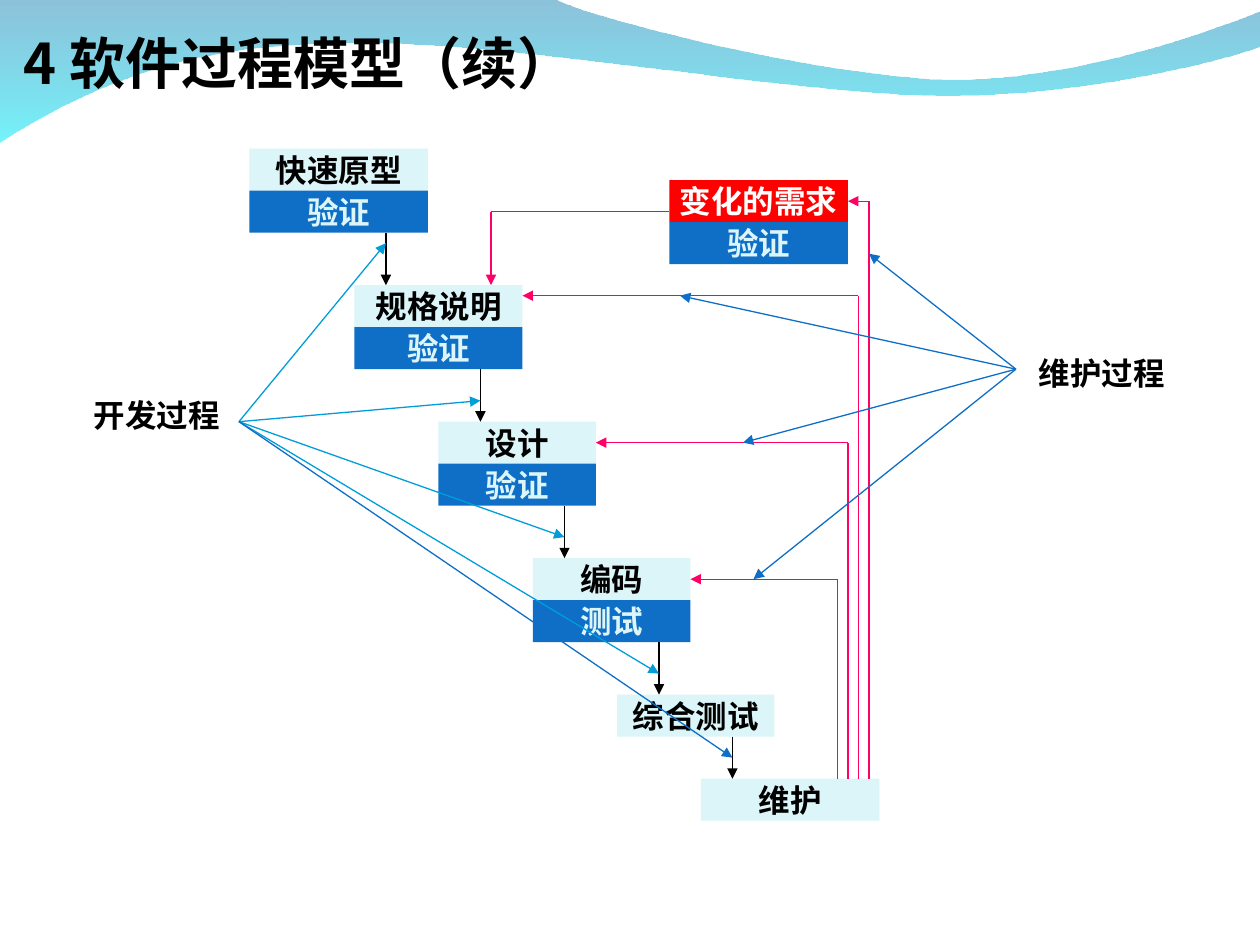
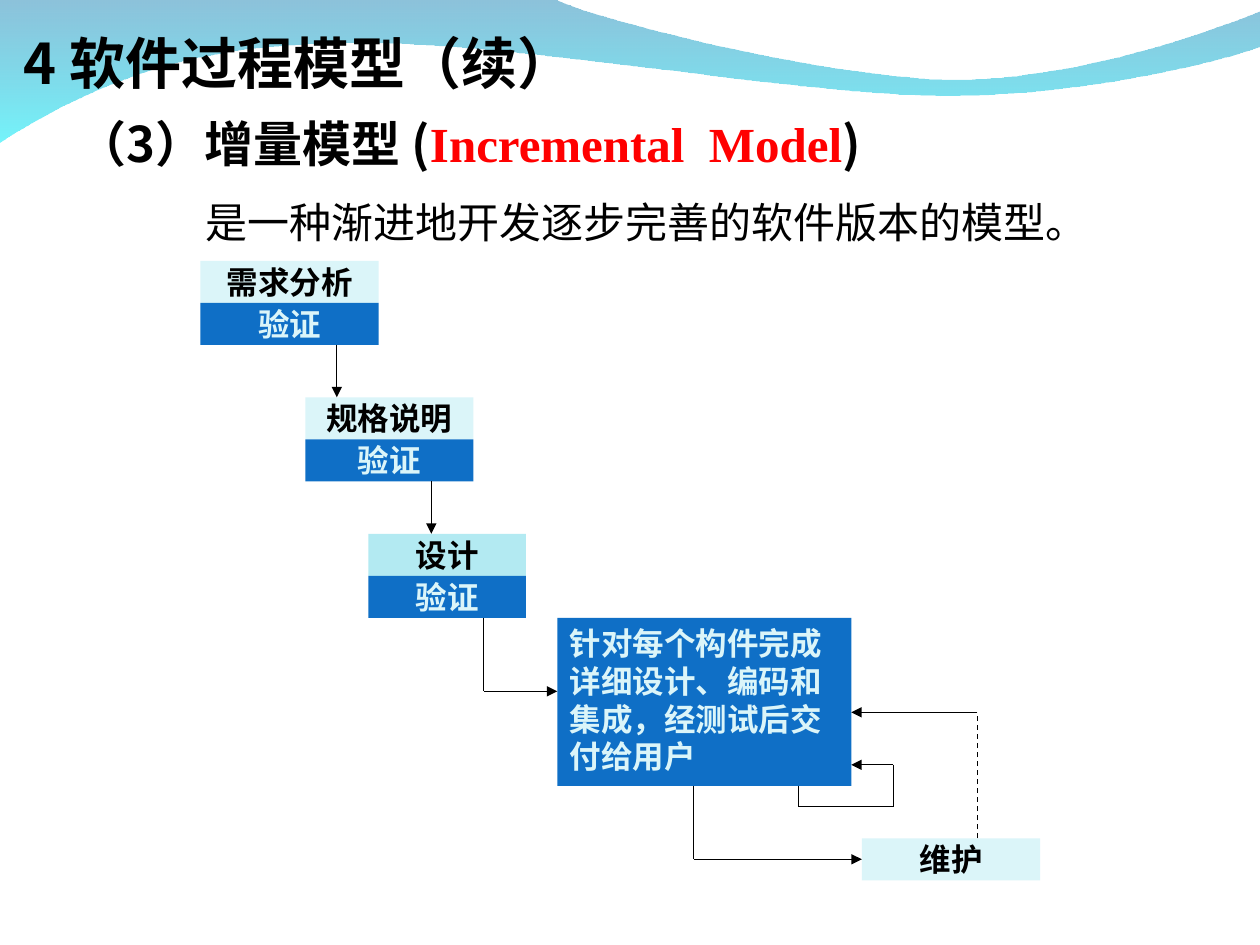
"""Build two slides on software process models."""
from dataclasses import dataclass, field

from lxml import etree
from pptx import Presentation
from pptx.dml.color import RGBColor
from pptx.enum.dml import MSO_LINE
from pptx.enum.shapes import MSO_CONNECTOR, MSO_SHAPE
from pptx.enum.text import MSO_ANCHOR, MSO_AUTO_SIZE, PP_ALIGN
from pptx.oxml.ns import qn
from pptx.util import Inches, Pt

DASH = MSO_LINE.DASH
STRAIGHT = MSO_CONNECTOR.STRAIGHT
RECT = MSO_SHAPE.RECTANGLE
TOP, MIDDLE, BOTTOM = MSO_ANCHOR.TOP, MSO_ANCHOR.MIDDLE, MSO_ANCHOR.BOTTOM
LEFT, CENTER = PP_ALIGN.LEFT, PP_ALIGN.CENTER
NO_FIT = MSO_AUTO_SIZE.NONE

COLORS = {
    "black": "000000", "white": "FFFFFF", "red": "FF0000", "pink": "FF0066",
    "pale": "DBF5F9", "aqua": "B3EAF2", "blue": "0F6FC6", "sky": "009DD9",
    "deep": "0079AF", "cyan": "00EBF8",
}
SANS, ARIAL, TIMES = "Noto Sans CJK SC", "Arial", "Times New Roman"
TITLE = "4 软件过程模型（续）"
UNIT = Inches(1 / 12)
TALL = 4
BAND_TOP = (
    ((4.41, 0), (4.76, 0.17), (6.64, 0.63), (7.59, 0.63)),
    ((7.59, 0.63), (8.53, 0.63), (9.58, 0.26), (10, 0.09)),
)
BAND_LOW = (
    ((10, 0.37), (9.83, 0.44), (8.7, 0.76), (7.46, 0.76)),
    ((7.46, 0.76), (6.22, 0.75), (3.82, 0.28), (2.58, 0.35)),
    ((2.58, 0.35), (1.3, 0.36), (0.47, 0.83), (0, 1.13)),
)


@dataclass
class Step:
    """A box on the grid, with an optional check box below it."""
    text: str
    col: float
    row: float
    wide: float
    check: str = ""
    fill: str = "pale"
    ink: str = "black"
    tall: float = TALL
    align: int = CENTER
    wrap: bool = False


@dataclass
class Route:
    """A chain of straight lines through grid points."""
    points: list
    color: str = "black"
    head: bool = True
    dash: bool = False


@dataclass
class Chart:
    """A slide with a grid that starts at a given place."""
    slide: object
    left: float
    top: float
    sites: dict = field(default_factory=dict)

    def spot(self, col: float, row: float) -> tuple:
        """Turn a grid point into a place on the slide."""
        return Inches(self.left) + round(col * UNIT), Inches(self.top) + round(row * UNIT)


def paint(name: str) -> RGBColor:
    """Look up a colour."""
    return RGBColor.from_string(COLORS[name])


def write(frame, text: str, *, font: str = ARIAL, size: float = 18, ink: str = "black",
          bold: bool = True, align: int = LEFT, anchor: int = TOP, wrap: bool = True) -> None:
    """Add a run of text to the first paragraph of a frame."""
    frame.word_wrap, frame.auto_size, frame.vertical_anchor = wrap, NO_FIT, anchor
    para = frame.paragraphs[0]
    para.alignment = align
    run = para.add_run()
    run.text = text
    run.font.name, run.font.size, run.font.bold = font, Pt(size), bold
    run.font.color.rgb = paint(ink)
    etree.SubElement(run.font._element, qn("a:ea"), typeface=SANS)


def label(chart: Chart, text: str, col: float, row: float, wide: float, tall: float, **form) -> object:
    """Add a text box at a grid point and return its frame."""
    frame = chart.slide.shapes.add_textbox(
        *chart.spot(col, row), round(wide * UNIT), round(tall * UNIT)).text_frame
    write(frame, text, **form)
    return frame


def draw_box(chart: Chart, step: Step) -> None:
    """Draw one box and note the middles of its sides."""
    box = chart.slide.shapes.add_shape(
        RECT, *chart.spot(step.col, step.row), round(step.wide * UNIT), round(step.tall * UNIT))
    box.shadow.inherit = False
    box.fill.solid()
    box.fill.fore_color.rgb = paint(step.fill)
    box.line.fill.background()
    write(box.text_frame, step.text, ink=step.ink, align=step.align, wrap=step.wrap,
          anchor=TOP if step.wrap else MIDDLE)
    mid, half = step.col + step.wide / 2, step.row + step.tall / 2
    sides = ((mid, step.row), (step.col, half),
             (mid, step.row + step.tall), (step.col + step.wide, half))
    for site, point in enumerate(sides):
        chart.sites[point] = (box, site)


def draw_step(chart: Chart, step: Step) -> None:
    """Draw a step and its check."""
    draw_box(chart, step)
    if step.check:
        draw_box(chart, Step(step.check, step.col, step.row + TALL, step.wide,
                             fill="blue", ink="pale"))


def draw_route(chart: Chart, route: Route) -> None:
    """Draw a route, joined to boxes where it meets them."""
    for start, end in zip(route.points, route.points[1:]):
        link = chart.slide.shapes.add_connector(STRAIGHT, *chart.spot(*start), *chart.spot(*end))
        link.line.color.rgb = paint(route.color)
        link.line.width = Pt(0.75)
        if route.dash:
            link.line.dash_style = DASH
        if start in chart.sites:
            link.begin_connect(*chart.sites[start])
        if end in chart.sites:
            link.end_connect(*chart.sites[end])
        props = link._element.spPr
        if route.head and end == route.points[-1]:
            etree.SubElement(props.find(qn("a:ln")), qn("a:tailEnd"), type="triangle")
        etree.SubElement(props, qn("a:effectLst"))


def curve(ends: tuple, count: int = 24) -> list:
    """Sample a cubic curve."""
    points = []
    for index in range(count + 1):
        t = index / count
        parts = ((1 - t) ** 3, 3 * t * (1 - t) ** 2, 3 * t * t * (1 - t), t ** 3)
        points.append(tuple(Inches(sum(p * e[axis] for p, e in zip(parts, ends)))
                            for axis in (0, 1)))
    return points


def draw_band(deck, slide) -> None:
    """Draw the wave and place it on the master."""
    build = slide.shapes.build_freeform(0, 0)
    build.add_line_segments([p for ends in BAND_TOP + BAND_LOW for p in curve(ends)])
    band = build.convert_to_shape()
    band.shadow.inherit = False
    band.line.fill.background()
    band.fill.gradient()
    band.fill.gradient_angle = 270
    tints = (("deep", 45000), ("cyan", 55000))
    for place, (stop, (name, _)) in enumerate(zip(band.fill.gradient_stops, tints)):
        stop.color.rgb, stop.position = paint(name), place
    for node, (_, alpha) in zip(band._element.spPr.iter(qn("a:srgbClr")), tints):
        etree.SubElement(node, qn("a:alpha"), val=str(alpha))
    deck.slide_master.shapes._spTree.insert(2, band._element)


def add_chart(deck, left: float, top: float) -> Chart:
    """Add a slide with the shared title."""
    slide = deck.slides.add_slide(deck.slide_layouts[5])
    title = slide.shapes.title
    title.left, title.top, title.width, title.height = map(Inches, (0.19, 0.06, 8.17, 0.7))
    frame = title.text_frame
    frame.margin_left = frame.margin_right = frame.margin_bottom = 0
    frame.margin_top = Inches(0.05)
    write(frame, TITLE, font=SANS, size=32, anchor=BOTTOM)
    return Chart(slide, left, top)


def fill_chart(chart: Chart, steps: list, routes: list) -> None:
    """Draw all steps, then all routes."""
    for step in steps:
        draw_step(chart, step)
    for route in routes:
        draw_route(chart, route)


def draw_model(chart: Chart) -> None:
    """Draw the fast prototype model."""
    steps = [
        Step("快速原型", 0, 0, 17, "验证"),
        Step("规格说明", 10, 13, 16, "验证"),
        Step("设计", 18, 26, 15, "验证"),
        Step("编码", 27, 39, 15, "测试"),
        Step("综合测试", 35, 52, 15),
        Step("维护", 43, 60, 17),
        Step("变化的需求", 40, 3, 17, "验证", "red", "white"),
    ]
    drops = [(13, 8, 13), (22, 21, 26), (30, 34, 39), (39, 47, 52), (46, 56, 60)]
    routes = [Route([(col, top), (col, low)]) for col, top, low in drops]
    routes.append(Route([(40, 6), (23, 6), (23, 13)], "pink"))
    backs = [(59, 5, 57), (58, 14, 26), (57, 28, 33), (56, 41, 42)]
    routes += [Route([(col, 60), (col, row), (end, row)], "pink") for col, row, end in backs]
    routes += [Route([(73, 21), end], "blue") for end in ((59, 10), (41, 14), (47, 28), (48, 41))]
    ends = [(13, 9), (22, 24), (30, 37), (39, 50), (46, 58)]
    routes += [Route([(-1, 26), end], "blue" if end == ends[-1] else "sky") for end in ends]
    fill_chart(chart, steps, routes)
    label(chart, "维护过程", 74, 19, 15, 4.8)
    label(chart, "开发过程", -16, 23, 15, 4.8)


def draw_growth(chart: Chart) -> None:
    """Draw the incremental model."""
    head = label(chart, "（3）增量模型 (", -12.84, -14.64, 112, 7, font=SANS, size=28)
    write(head, "Incremental  Model", font=TIMES, size=28, ink="red")
    write(head, ")", font=SANS, size=28)
    label(chart, "是一种渐进地开发逐步完善的软件版本的模型。", -0.72, -6.72, 86.4, 6,
          font=TIMES, size=24, bold=False, wrap=False)
    steps = [
        Step("需求分析", 0, 0, 17, "验证"),
        Step("规格说明", 10, 13, 16, "验证"),
        Step("设计", 16, 26, 15, "验证", "aqua"),
        Step("维护", 63, 55, 17),
        Step("针对每个构件完成详细设计、编码和集成，经测试后交付给用户", 34, 34, 28,
             fill="blue", ink="pale", tall=16, align=LEFT, wrap=True),
    ]
    routes = [
        Route([(13, 8), (13, 13)]),
        Route([(22, 21), (22, 26)]),
        Route([(27, 34), (27, 41), (34, 41)]),
        Route([(47, 50), (47, 57), (63, 57)]),
        Route([(57, 50), (57, 52), (66, 52), (66, 48), (62, 48)]),
        Route([(74, 55), (74, 43)], head=False, dash=True),
        Route([(74, 43), (62, 43)]),
    ]
    fill_chart(chart, steps, routes)


def main() -> None:
    """Build and save the deck."""
    deck = Presentation()
    deck.slide_width, deck.slide_height = Inches(10), Inches(7.5)
    first = add_chart(deck, 1.98, 1.18)
    draw_band(deck, first.slide)
    draw_model(first)
    draw_growth(add_chart(deck, 1.59, 2.07))
    deck.save("out.pptx")


if __name__ == "__main__":
    main()
